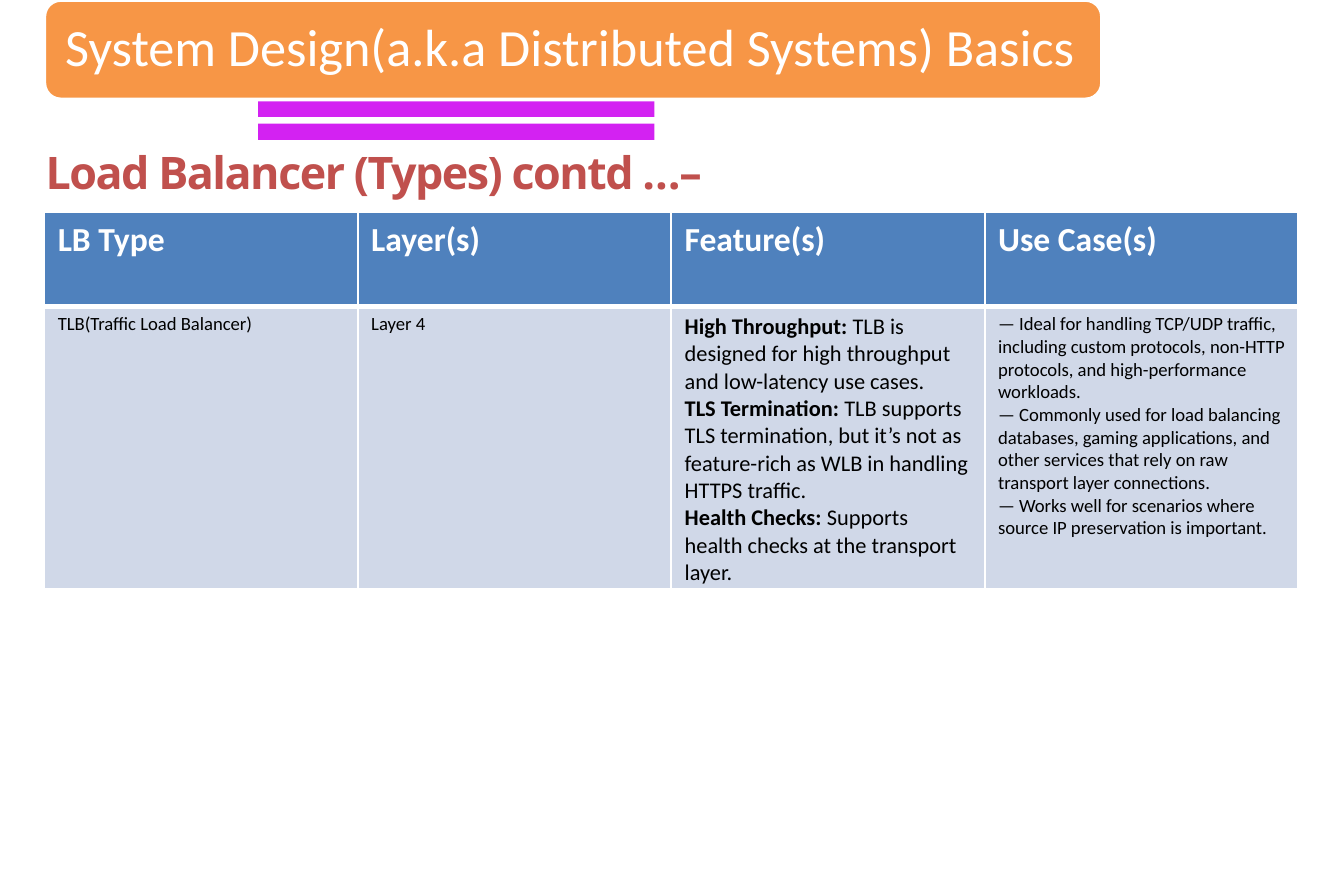
from lxml import etree
from pptx import Presentation
from pptx.dml.color import RGBColor
from pptx.enum.shapes import MSO_SHAPE as SHAPE
from pptx.enum.text import MSO_ANCHOR as ANCHOR, PP_ALIGN as ALIGN
from pptx.oxml.ns import qn
from pptx.util import Inches, Pt

WHITE = RGBColor(0xFF, 0xFF, 0xFF)
BLACK = RGBColor(0, 0, 0)
ORANGE = RGBColor(0xF7, 0x96, 0x46)
MAGENTA = RGBColor(0xD3, 0x22, 0xF2)
RED = RGBColor(0xC0, 0x50, 0x4D)
BLUE = RGBColor(0x4F, 0x81, 0xBD)
PALE_BLUE = RGBColor(0xD0, 0xD8, 0xE8)


def set_font(paragraph, name, size, color, bold=None):
    font = paragraph.font
    font.name, font.size, font.bold = name, Pt(size), bold
    font.color.rgb = color


def set_borders(cell, widths):
    properties = cell._tc.get_or_add_tcPr()
    for position, (side, width) in enumerate(zip("LRTB", widths)):
        line = etree.Element(qn(f"a:ln{side}"), w=str(Pt(width)))
        fill = etree.SubElement(line, qn("a:solidFill"))
        etree.SubElement(fill, qn("a:srgbClr"), val=str(WHITE))
        properties.insert(position, line)


prs = Presentation()
prs.slide_width, prs.slide_height = Inches(10), Inches(6.5)
slide = prs.slides.add_slide(prs.slide_layouts[6])
shapes = slide.shapes

for top in (0.92, 0.75):
    bar = shapes.add_shape(SHAPE.RECTANGLE, Inches(1.92), Inches(top), Inches(2.95), Inches(0.12))
    bar.shadow.inherit = False
    bar.fill.solid()
    bar.fill.fore_color.rgb = MAGENTA
    bar.line.fill.background()

banner = shapes.add_shape(SHAPE.ROUNDED_RECTANGLE, Inches(0.33), 0, Inches(7.87), Inches(0.74))
banner.shadow.inherit = False
banner.fill.solid()
banner.fill.fore_color.rgb = ORANGE
banner.line.color.rgb = WHITE
banner.line.width = Pt(2)
banner_text = banner.text_frame
banner_text.vertical_anchor = ANCHOR.MIDDLE
banner_text.margin_left = Inches(0.12)
banner_text.margin_right = Inches(0.08)
banner_text.text = "System Design(a.k.a Distributed Systems) Basics"
title = banner_text.paragraphs[0]
title.alignment = ALIGN.LEFT
title.line_spacing = 0.9
set_font(title, "Calibri", 28, WHITE)

heading_box = shapes.add_textbox(Inches(0.33), Inches(1.08), Inches(9.43), Inches(0.4))
heading_text = heading_box.text_frame
heading_text.word_wrap = True
heading_text.margin_left = Inches(0.01)
heading_text.margin_right = heading_text.margin_top = heading_text.margin_bottom = 0
heading_text.text = "Load Balancer (Types) contd …–"
heading = heading_text.paragraphs[0]
set_font(heading, "Open Sans", 24, RED, True)
heading.runs[0]._r.get_or_add_rPr().set("spc", "-80")

headers = ["LB Type", "Layer(s)", "Feature(s)", "Use Case(s)"]
features = [
    ("High Throughput:", " TLB is designed for high throughput and low-latency use cases."),
    ("TLS Termination:", " TLB supports TLS termination, but it’s not as feature-rich as WLB "
     "in handling HTTPS traffic."),
    ("Health Checks:", " Supports health checks at the transport layer."),
]
use_cases = [
    "— Ideal for handling TCP/UDP traffic, including custom protocols, non-HTTP protocols, "
    "and high-performance workloads.",
    "— Commonly used for load balancing databases, gaming applications, and other services "
    "that rely on raw transport layer connections.",
    "— Works well for scenarios where source IP preservation is important.",
]
details = [
    [("", "TLB(Traffic Load Balancer)")],
    [("", "Layer 4")],
    features,
    [("", use_case) for use_case in use_cases],
]
detail_sizes = [10, 10, 12, 10]

table = shapes.add_table(2, 4, Inches(0.33), Inches(1.58), Inches(9.33), Inches(2.77)).table
table.rows[0].height = Inches(0.7)
table.rows[1].height = Inches(2.07)

for column, (header, entries, size) in enumerate(zip(headers, details, detail_sizes)):
    header_cell, detail_cell = table.cell(0, column), table.cell(1, column)
    for cell, color in ((header_cell, BLUE), (detail_cell, PALE_BLUE)):
        cell.fill.solid()
        cell.fill.fore_color.rgb = color
    set_borders(header_cell, (1, 1, 1, 3))
    set_borders(detail_cell, (1, 1, 3, 1))

    header_cell.text = header
    set_font(header_cell.text_frame.paragraphs[0], "Calibri", 18, WHITE, True)

    detail_text = detail_cell.text_frame
    for index, (label, description) in enumerate(entries):
        paragraph = detail_text.add_paragraph() if index else detail_text.paragraphs[0]
        set_font(paragraph, "Calibri", size, BLACK)
        if label:
            label_run = paragraph.add_run()
            label_run.text = label
            label_run.font.bold = True
        paragraph.add_run().text = description

prs.save("out.pptx")
